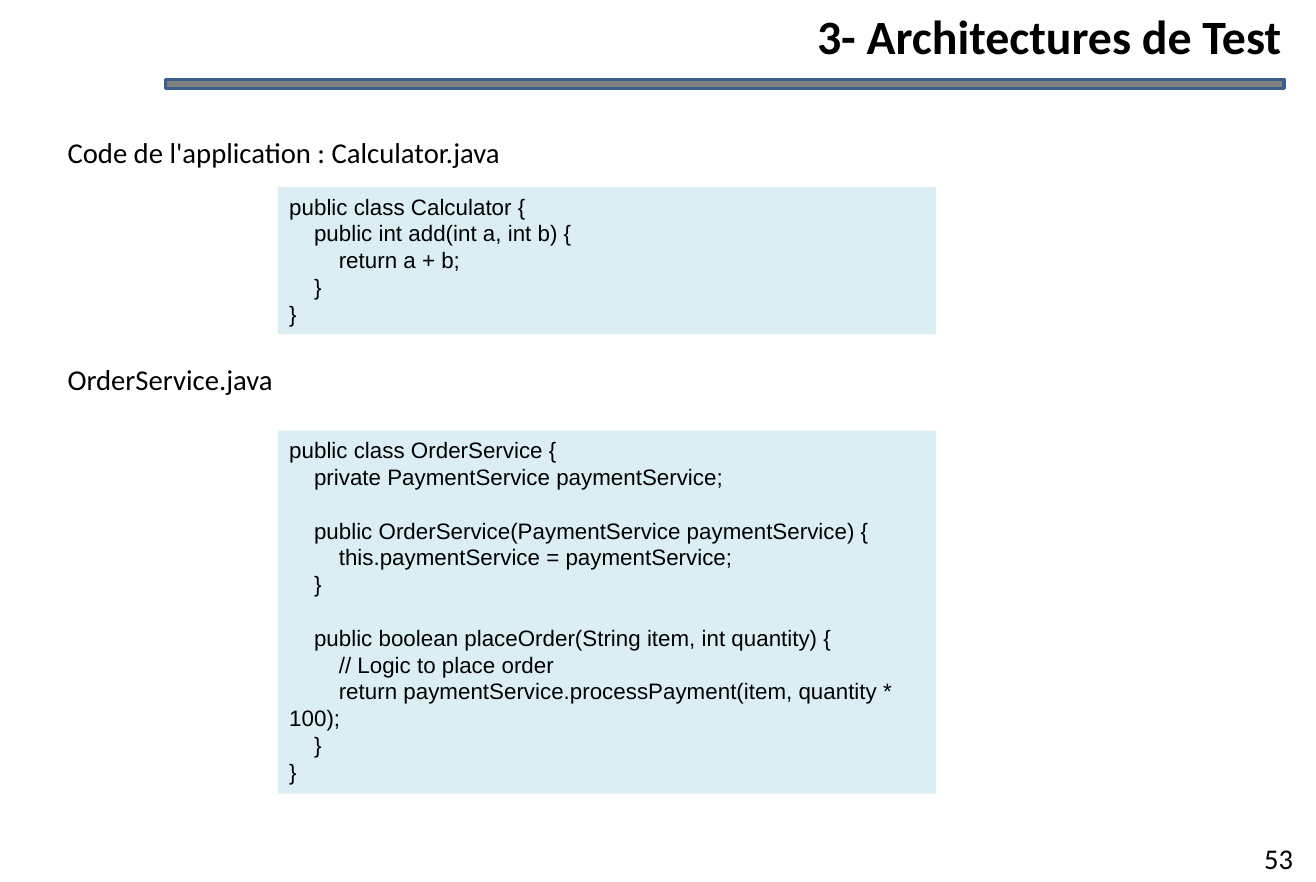
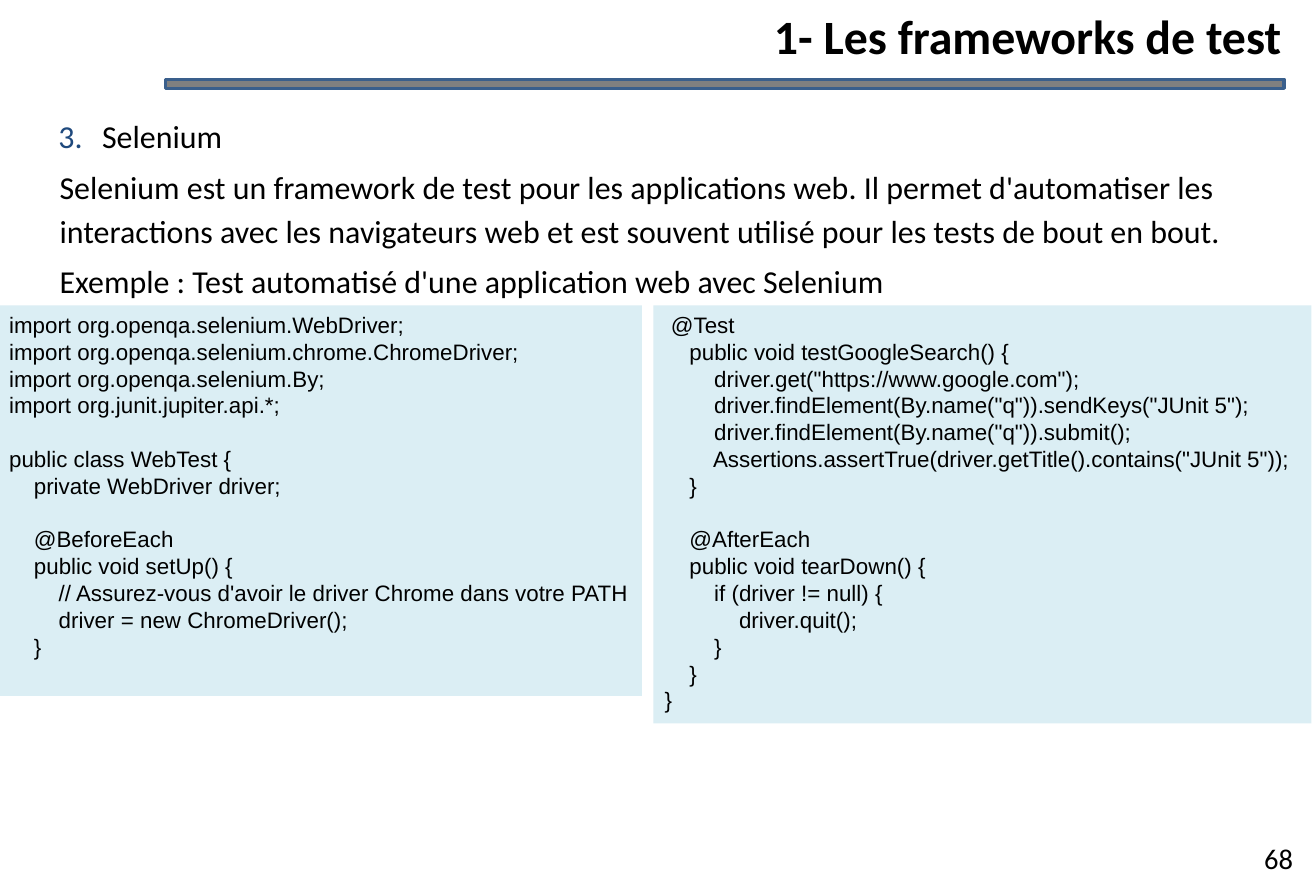
from lxml import etree
from pptx import Presentation
from pptx import util as u
from pptx.dml.color import RGBColor
from pptx.enum import shapes, text
from pptx.oxml import ns

COLORS = {"ink": "000000", "bar": "808080", "edge": "3A5F8C",
          "code": "DBEEF4", "number": "1F497D"}
FORMATS = {
    "title": {"name": "Calibri", "size": u.Pt(30), "bold": True},
    "page": {"name": "Calibri", "size": u.Pt(17.9)},
    "label": {"name": "Calibri", "size": u.Pt(18)},
    "body": {"name": "Calibri", "size": u.Pt(20)},
    "code": {"name": "Arial", "size": u.Pt(14)},
}

CALCULATOR = """\
public class Calculator {
    public int add(int a, int b) {
        return a + b;
    }
}"""

ORDER_SERVICE = """\
public class OrderService {
    private PaymentService paymentService;

    public OrderService(PaymentService paymentService) {
        this.paymentService = paymentService;
    }

    public boolean placeOrder(String item, int quantity) {
        // Logic to place order
        return paymentService.processPayment(item, quantity * 100);
    }
}"""

WEB_TEST_SETUP = """\
import org.openqa.selenium.WebDriver;
import org.openqa.selenium.chrome.ChromeDriver;
import org.openqa.selenium.By;
import org.junit.jupiter.api.*;

public class WebTest {
    private WebDriver driver;

    @BeforeEach
    public void setUp() {
        // Assurez-vous d'avoir le driver Chrome dans votre PATH
        driver = new ChromeDriver();
    }"""

WEB_TEST_SEARCH = """\
 @Test
    public void testGoogleSearch() {
        driver.get("https://www.google.com");
        driver.findElement(By.name("q")).sendKeys("JUnit 5");
        driver.findElement(By.name("q")).submit();
        Assertions.assertTrue(driver.getTitle().contains("JUnit 5"));
    }

    @AfterEach
    public void tearDown() {
        if (driver != null) {
            driver.quit();
        }
    }
}"""


def rgb(key):
    """Return the named colour."""
    return RGBColor.from_string(COLORS[key])


class Deck:
    """Holds the style and the current slide; lengths are percents of its size."""

    def __init__(self, width, height):
        """Start an empty presentation, sized in inches."""
        self.prs = Presentation()
        self.prs.slide_width = u.Inches(width)
        self.prs.slide_height = u.Inches(height)
        self.s = None

    def box(self, x, y, w, h):
        """Turn percents of the slide into lengths."""
        sizes = (self.prs.slide_width, self.prs.slide_height) * 2
        return [round(size * share / 100) for size, share in zip(sizes, (x, y, w, h))]

    def slide(self, title, page):
        """Add a slide with its title, bar and page number."""
        self.s = self.prs.slides.add_slide(self.prs.slide_layouts[6])
        self.rect((12.57, 8.98, 85, 1.04), "bar", "edge")
        self.label((25.31, 0.78, 72.08, 6.51), [title], "title", text.PP_ALIGN.RIGHT, 0)
        self.label((94.33, 94.66, 5.67, 5.34), [page], "page", text.PP_ALIGN.CENTER)

    def rect(self, at, fill, edge=None):
        """Add a flat rectangle."""
        sp = self.s.shapes.add_shape(shapes.MSO_SHAPE.RECTANGLE, *self.box(*at))
        sp.shadow.inherit = False
        sp.fill.solid()
        sp.fill.fore_color.rgb = rgb(fill)
        if edge:
            sp.line.color.rgb = rgb(edge)
            sp.line.width = u.Pt(2)
        else:
            sp.line.fill.background()
        return sp

    def fill_text(self, sp, lines, style, align=text.PP_ALIGN.LEFT):
        """Fill a shape with one paragraph per line."""
        tf, fmt = sp.text_frame, FORMATS[style]
        tf.word_wrap = True
        tf.vertical_anchor = text.MSO_ANCHOR.TOP
        for i, line in enumerate(lines):
            p = tf.add_paragraph() if i else tf.paragraphs[0]
            p.alignment = align
            if not line:
                end = etree.SubElement(p._p, ns.qn("a:endParaRPr"),
                                       sz=str(int(fmt["size"].pt * 100)))
                etree.SubElement(end, ns.qn("a:latin"), typeface=fmt["name"])
                continue
            r = p.add_run()
            r.text = line
            for key, value in fmt.items():
                setattr(r.font, key, value)
            r.font.color.rgb = rgb("ink")
        return tf

    def label(self, at, lines, style, align=text.PP_ALIGN.LEFT, inset=None):
        """Add a text box."""
        sp = self.s.shapes.add_textbox(*self.box(*at))
        tf = self.fill_text(sp, lines, style, align)
        if inset is not None:
            for side in ("left", "top", "right", "bottom"):
                setattr(tf, f"margin_{side}", inset)
        return tf

    def prose(self, at, lines, style, start=None):
        """Add indented paragraphs, the first numbered when start is given."""
        tf = self.label(at, lines, style)
        for i, p in enumerate(tf.paragraphs):
            p.line_spacing = 1.15
            p.space_before = FORMATS[style]["size"] // 5 if i else 0
            numbered = start is not None and i == 0
            left, indent = (0.57, -0.38) if numbered else (0.2, 0)
            pPr = p._p.get_or_add_pPr()
            pPr.set("marL", str(u.Inches(left)))
            pPr.set("indent", str(u.Inches(indent)))
            if numbered:
                clr = etree.SubElement(pPr, ns.qn("a:buClr"))
                etree.SubElement(clr, ns.qn("a:srgbClr"), val=COLORS["number"])
                etree.SubElement(pPr, ns.qn("a:buFont"), typeface="Calibri")
                etree.SubElement(pPr, ns.qn("a:buAutoNum"), type="arabicPeriod",
                                 startAt=str(start))

    def code(self, at, source):
        """Add a panel of source code."""
        self.fill_text(self.rect(at, "code"), source.split("\n"), "code")


def main():
    """Build both slides."""
    deck = Deck(11.46, 7.68)

    deck.slide("3- Architectures de Test", "53")
    deck.prose((2.53, 14.06, 94.85, 5.86),
               ["Code de l'application : Calculator.java"], "label")
    deck.prose((2.53, 39.84, 94.85, 5.86), ["OrderService.java"], "label")
    deck.code((21.12, 21.22, 50, 16.67), CALCULATOR)
    deck.code((21.12, 48.83, 50, 41.15), ORDER_SERVICE)

    deck.slide("1- Les frameworks de test", "68")
    deck.prose((1.92, 11.98, 96.16, 22.79), [
        "Selenium",
        "Selenium est un framework de test pour les applications web. "
        "Il permet d'automatiser les interactions avec les navigateurs web "
        "et est souvent utilisé pour les tests de bout en bout.",
        "Exemple : Test automatisé d'une application web avec Selenium",
    ], "body", start=3)
    deck.code((-0.17, 34.64, 48.95, 44.27), WEB_TEST_SETUP)
    deck.code((49.65, 34.64, 50, 47.4), WEB_TEST_SEARCH)

    deck.prs.save("out.pptx")


if __name__ == "__main__":
    main()
